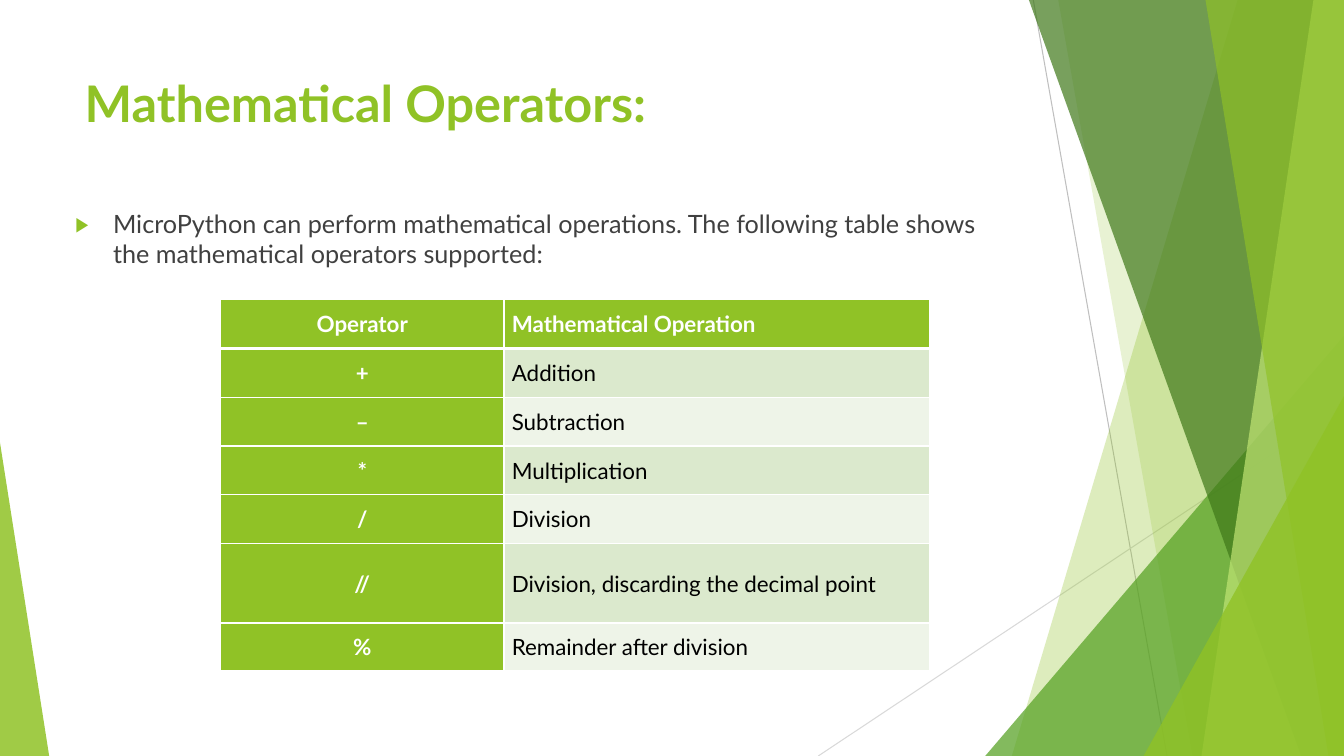
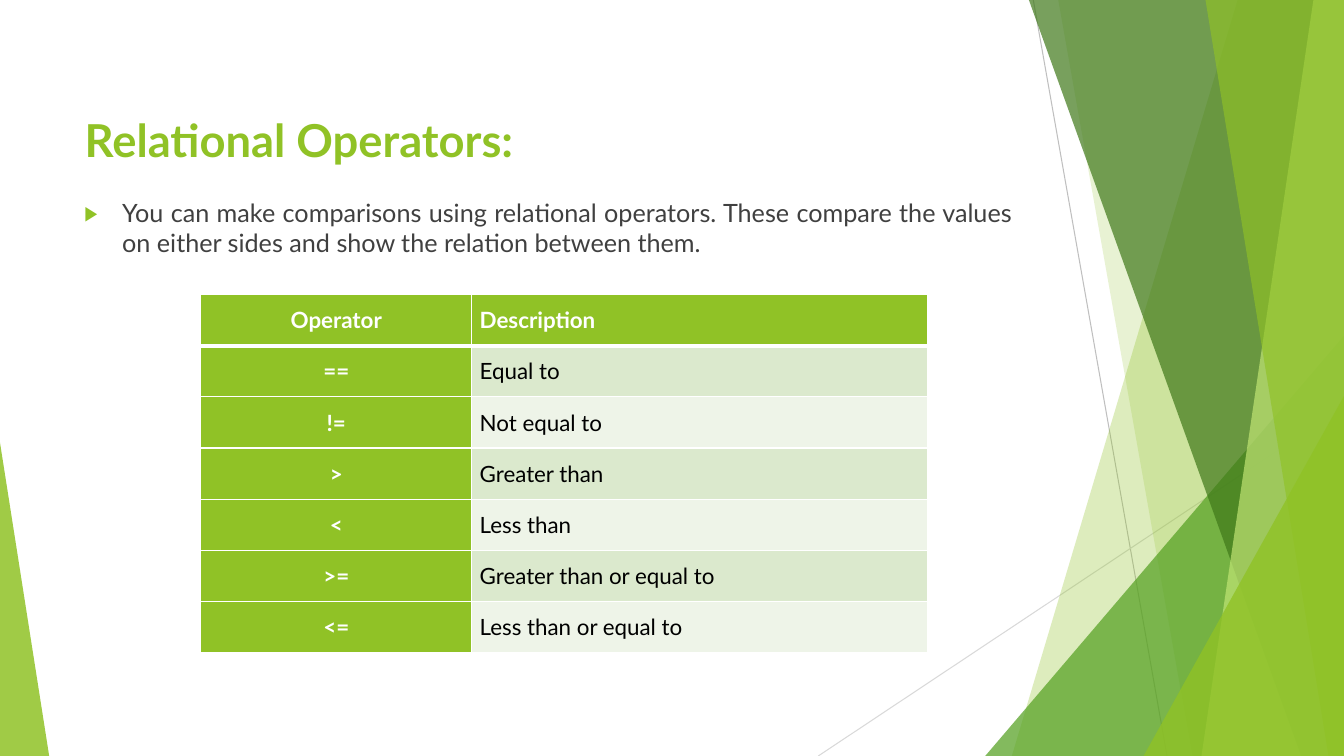
from pptx import Presentation
from pptx.dml.color import RGBColor
from pptx.enum.shapes import MSO_CONNECTOR, MSO_SHAPE
from pptx.enum.text import MSO_ANCHOR, MSO_AUTO_SIZE, PP_ALIGN
from pptx.oxml.ns import qn
from pptx.util import Cm, Pt
from lxml.etree import SubElement, Element

FONT = "Lato"
WIDTH, HEIGHT = 33.87, 19.05
LIME = RGBColor(0x90, 0xC2, 0x26)
LEAF = RGBColor(0x54, 0xA0, 0x21)
PINE = RGBColor(0x3F, 0x78, 0x19)
PALE = RGBColor(0xC0, 0xE4, 0x74)
GREY = RGBColor(0xBF, 0xBF, 0xBF)
MIST = RGBColor(0xD9, 0xD9, 0xD9)
INK = RGBColor(0x40, 0x40, 0x40)
BLACK = RGBColor(0, 0, 0)
WHITE = RGBColor(0xFF, 0xFF, 0xFF)
ROWS = [RGBColor(0xEE, 0xF4, 0xE8), RGBColor(0xDB, 0xE9, 0xCD)]

MATH = [
    ("Operator", "Mathematical Operation"),
    ("+", "Addition"),
    ("–", "Subtraction"),
    ("*", "Multiplication"),
    ("/", "Division"),
    ("//", "Division, discarding the decimal point"),
    ("%", "Remainder after division"),
]
COMPARE = [
    ("Operator", "Description"),
    ("==", "Equal to"),
    ("!=", "Not equal to"),
    (">", "Greater than"),
    ("<", "Less than"),
    (">=", "Greater than or equal to"),
    ("<=", "Less than or equal to"),
]


def add_run(para, text, size, color, bold=False):
    """Add one formatted run to a paragraph."""
    run = para.add_run()
    run.text = text
    font = run.font
    font.name, font.size, font.bold = FONT, Pt(size), bold
    font.color.rgb = color


def paint(shape, color, alpha):
    """Give a shape a flat, partly clear fill and no outline."""
    shape.shadow.inherit = False
    shape.fill.solid()
    shape.fill.fore_color.rgb = color
    shape.line.fill.background()
    tint = next(shape.element.iter(qn("a:srgbClr")))
    SubElement(tint, qn("a:alpha"), val=str(alpha * 1000))


def add_line(slide, start, end, color):
    """Draw a thin straight line."""
    line = slide.shapes.add_connector(
        MSO_CONNECTOR.STRAIGHT, *map(Cm, start + end))
    line.line.color.rgb = color
    line.line.width = Pt(0.75)
    SubElement(line.element.spPr, qn("a:effectLst"))


def add_band(slide, top, base, color, alpha):
    """Draw a full-height band that ends at the right edge."""
    points = [(top, 0), (WIDTH, 0), (WIDTH, HEIGHT), (base, HEIGHT)]
    points = [(Cm(x), Cm(y)) for x, y in points]
    form = slide.shapes.build_freeform(*points[0])
    form.add_line_segments(points[1:])
    paint(form.convert_to_shape(), color, alpha)


def add_wedge(slide, left, wide, high, tip, color, alpha):
    """Draw a triangle that stands on the bottom edge."""
    wedge = slide.shapes.add_shape(
        MSO_SHAPE.ISOSCELES_TRIANGLE,
        Cm(left), Cm(HEIGHT - high), Cm(wide), Cm(high))
    wedge.adjustments[0] = tip
    paint(wedge, color, alpha)


def add_decor(slide):
    """Draw the side art and move it to the shared layout."""
    add_line(slide, (26.04, 0), (29.41, HEIGHT), GREY)
    add_line(slide, (WIDTH, 10.24), (20.62, HEIGHT), MIST)
    add_band(slide, 31.19, 25.5, LIME, 30)
    add_band(slide, 26.67, 30.05, LIME, 20)
    add_wedge(slide, WIDTH - 9.04, 9.04, 10.59, 1, LEAF, 72)
    add_band(slide, 25.93, 32.79, PINE, 70)
    add_band(slide, 33.1, 30.28, PALE, 70)
    add_band(slide, 30.38, 33.48, LIME, 65)
    add_wedge(slide, WIDTH - 5.05, 5.05, 9.07, 1, LIME, 80)
    add_wedge(slide, 0, 1.24, 7.9, 0, LIME, 85)
    layout = slide.slide_layout
    for holder in list(layout.placeholders)[1:]:
        layout.shapes.element.remove(holder.element)
    for shape in list(slide.shapes):
        if not shape.is_placeholder:
            layout.shapes.element.append(shape.element)


def set_title(slide, text, top, size):
    """Place and format the title."""
    title = slide.shapes.title
    title.left, title.top = Cm(1.88), Cm(top)
    title.width, title.height = Cm(23.88), Cm(2)
    frame = title.text_frame
    frame.auto_size = MSO_AUTO_SIZE.NONE
    frame.vertical_anchor = MSO_ANCHOR.TOP
    para = frame.paragraphs[0]
    para.alignment = PP_ALIGN.LEFT
    add_run(para, text, size, LIME, True)


def add_point(slide, text, left, top, align):
    """Add a paragraph with an arrow bullet."""
    box = slide.shapes.add_textbox(Cm(left), Cm(top), Cm(23.88), Cm(1.8))
    box.text_frame.word_wrap = True
    para = box.text_frame.paragraphs[0]
    para.alignment = align
    add_run(para, text, 18, INK)
    props = para._p.get_or_add_pPr()
    props.set("marL", str(Cm(0.95)))
    props.set("indent", str(-Cm(0.95)))
    tint = SubElement(props, qn("a:buClr"))
    SubElement(tint, qn("a:srgbClr"), val=str(LIME))
    SubElement(props, qn("a:buSzPct"), val="80000")
    SubElement(props, qn("a:buFont"), typeface=FONT)
    SubElement(props, qn("a:buChar"), char="▶")


def set_edges(cell, row):
    """Rule a cell in white, thicker below the header."""
    props = cell._tc.get_or_add_tcPr()
    thick = {(0, "B"), (1, "T")}
    for spot, side in enumerate("LRTB"):
        width = Pt(3 if (row, side) in thick else 1)
        edge = Element(qn(f"a:ln{side}"), w=str(width))
        fill = SubElement(edge, qn("a:solidFill"))
        SubElement(fill, qn("a:srgbClr"), val=str(WHITE))
        props.insert(spot, edge)


def set_cell(cell, text, row, col):
    """Fill and format one table cell."""
    head = row == 0 or col == 0
    cell.fill.solid()
    cell.fill.fore_color.rgb = LIME if head else ROWS[row % 2]
    cell.margin_left = cell.margin_right = Cm(0.2)
    cell.margin_top = cell.margin_bottom = Cm(0.2)
    cell.vertical_anchor = MSO_ANCHOR.MIDDLE
    para = cell.text_frame.paragraphs[0]
    para.alignment = PP_ALIGN.LEFT if col else PP_ALIGN.CENTER
    add_run(para, text, 16, WHITE if head else BLACK, head)
    set_edges(cell, row)


def add_grid(slide, data, left, top, widths, heights):
    """Add a two-column table of operators."""
    table = slide.shapes.add_table(
        len(data), len(widths), Cm(left), Cm(top),
        Cm(sum(widths)), Cm(sum(heights))).table
    table.horz_banding = False
    for col, width in enumerate(widths):
        table.columns[col].width = Cm(width)
    for row, texts in enumerate(data):
        table.rows[row].height = Cm(heights[row])
        for col, text in enumerate(texts):
            set_cell(table.cell(row, col), text, row, col)


def main():
    """Build and save the slides."""
    deck = Presentation()
    deck.slide_width, deck.slide_height = Cm(WIDTH), Cm(HEIGHT)
    layout = deck.slide_layouts.get_by_name("Title Only")

    slide = deck.slides.add_slide(layout)
    add_decor(slide)
    set_title(slide, "Mathematical Operators:", 1.7, 36)
    add_point(
        slide, "MicroPython can perform mathematical operations. The "
        "following table shows the mathematical operators supported:",
        1.65, 5.13, PP_ALIGN.LEFT)
    add_grid(slide, MATH, 5.56, 7.55, [7.14, 10.72],
             [1.23] * 5 + [2, 1.2])

    slide = deck.slides.add_slide(layout)
    set_title(slide, "Relational Operators:", 2.7, 32.4)
    add_point(
        slide, "You can make comparisons using relational operators. These "
        "compare the values on either sides and show the relation between "
        "them.", 1.88, 4.85, PP_ALIGN.JUSTIFY)
    add_grid(slide, COMPARE, 5.06, 7.42, [6.83, 11.48],
             [1.29] * len(COMPARE))

    deck.save("out.pptx")


if __name__ == "__main__":
    main()
